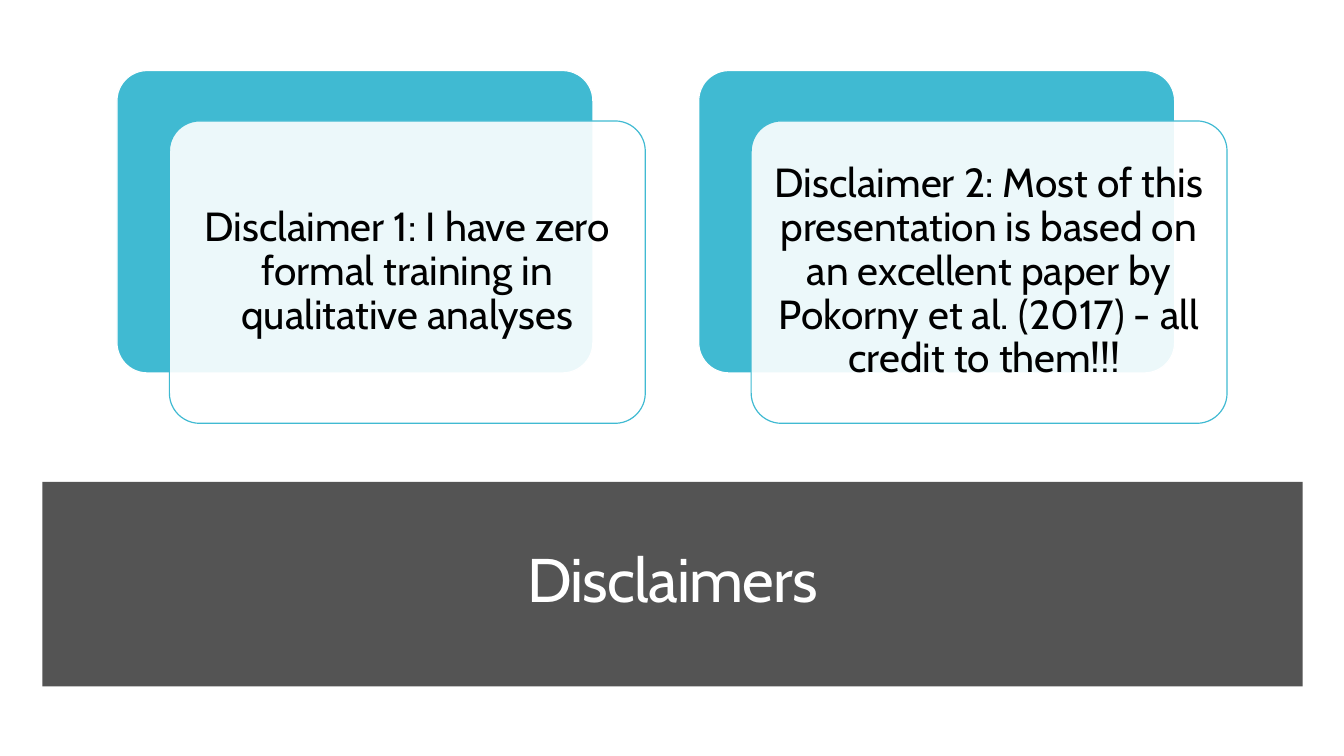
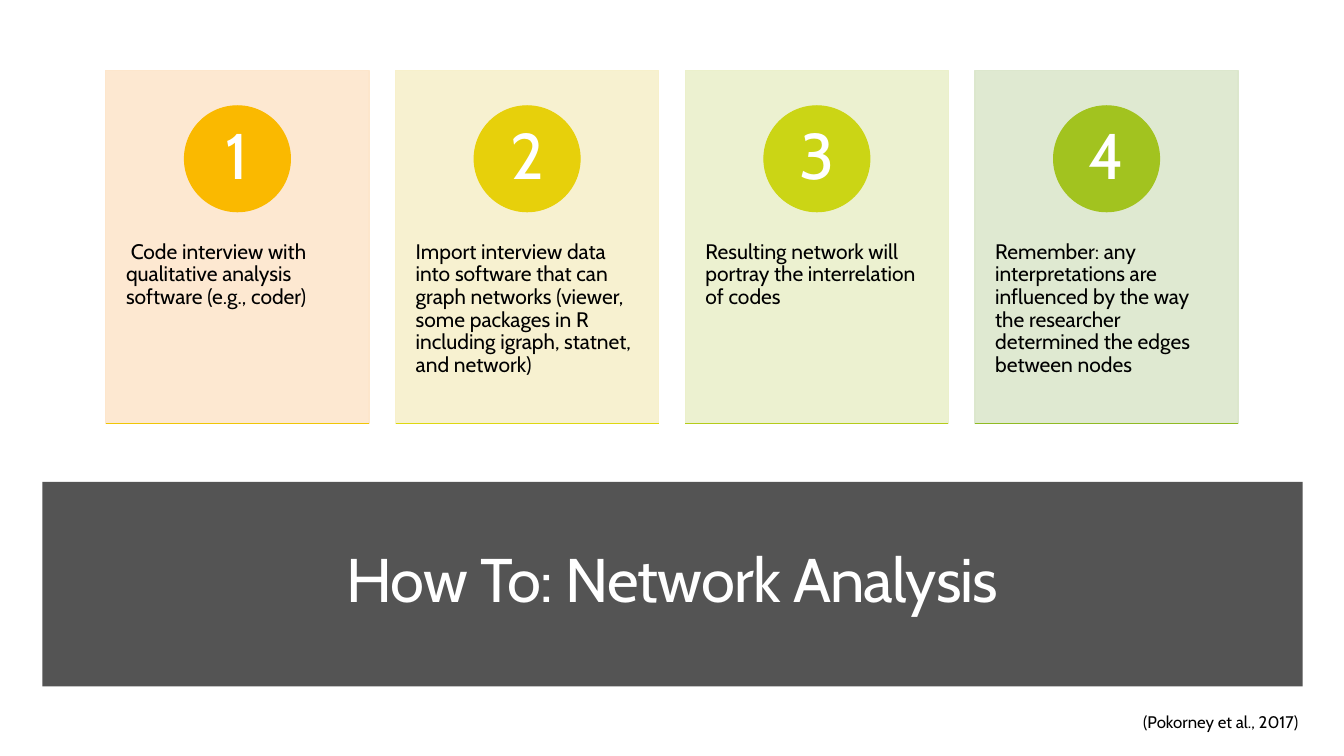
from lxml import etree
from pptx import Presentation
from pptx import util as u
from pptx.dml.color import RGBColor
from pptx.enum import shapes, text
from pptx.oxml import ns

FONT = "Cabin"
WHITE, BLACK, BAND, TEAL = "FFFFFF", "000000", "545454", "40BAD2"
LINE_WIDTH = u.Pt(0.85)
LEFT, CENTER = text.PP_ALIGN.LEFT, text.PP_ALIGN.CENTER
TOP, MIDDLE = text.MSO_ANCHOR.TOP, text.MSO_ANCHOR.MIDDLE

DISCLAIMERS = [
    "Disclaimer 1: I have zero formal training in qualitative analyses",
    "Disclaimer 2: Most of this presentation is based on an excellent paper "
    "by Pokorny et al. (2017) - all credit to them!!!\u00a0",
]

# Step text, card tint, circle colour, base line colour
STEPS = [
    (" Code interview with qualitative analysis software (e.g., coder)",
     "FDE6CC", "FAB900", "F0C606"),
    ("Import interview data into software that can graph networks (viewer, "
     "some packages in R including igraph, statnet, and network)",
     "F7F0CB", "E7D00B", "DED810"),
    ("Resulting network will portray the interrelation of codes",
     "EBF0CB", "CBD515", "B5CC1A"),
    ("Remember: any interpretations are influenced by the way the researcher "
     "determined the edges between nodes",
     "DCE7CD", "A2C31F", "90BB23"),
]


def rgb(value):
    """Return the colour for a hex string."""
    return RGBColor.from_string(value)


def box(x, y, w, h):
    """Return a position and size given in inches."""
    return [u.Inches(v) for v in (x, y, w, h)]


def write(sp, content, size, color, align=LEFT, anchor=TOP,
          insets=(0.1, 0.05, 0.1, 0.05), line_spacing=0.9, after=0.0,
          tracking=0):
    """Set and format one paragraph; after is a share of the text size."""
    tf = sp.text_frame
    tf.text = content
    tf.word_wrap = True
    tf.auto_size = text.MSO_AUTO_SIZE.NONE
    tf.vertical_anchor = anchor
    (tf.margin_left, tf.margin_top,
     tf.margin_right, tf.margin_bottom) = [u.Inches(v) for v in insets]
    p = tf.paragraphs[0]
    p.alignment = align
    p.line_spacing = line_spacing
    p.space_after = u.Pt(size * after)
    r = p.runs[0]
    r.font.name = FONT
    r.font.size = u.Pt(size)
    r.font.color.rgb = rgb(color)
    if tracking:
        r._r.get_or_add_rPr().set("spc", str(tracking))


def add_block(s, kind, place, fill, line=None, opacity=100):
    """Add a flat preset shape with optional outline and see-through fill."""
    sp = s.shapes.add_shape(kind, *box(*place))
    sp.shadow.inherit = False
    sp.fill.solid()
    sp.fill.fore_color.rgb = rgb(fill)
    if opacity < 100:
        color = sp.element.spPr.find(ns.qn("a:solidFill"))[0]
        etree.SubElement(color, ns.qn("a:alpha")).set(
            "val", str(opacity * 1000))
    if line:
        sp.line.color.rgb = rgb(line)
        sp.line.width = LINE_WIDTH
    else:
        sp.line.fill.background()
    return sp


def add_rule(s, x, y, w, color):
    """Add a thin horizontal line."""
    start, end = (x, y), (x + w, y)
    line = s.shapes.add_connector(
        shapes.MSO_CONNECTOR.STRAIGHT,
        *[u.Inches(v) for v in start + end])
    line.line.color.rgb = rgb(color)
    line.line.width = LINE_WIDTH
    etree.SubElement(line.element.spPr, ns.qn("a:effectLst"))


def add_titled_slide(prs, heading):
    """Add a slide with its title on the dark band."""
    s = prs.slides.add_slide(prs.slide_layouts[5])
    title = s.shapes.title
    title.left, title.top, title.width, title.height = box(
        0.61, 5.03, 12.12, 1.49)
    write(title, heading, 44, WHITE, CENTER, MIDDLE, tracking=-60)
    band = add_block(s, shapes.MSO_SHAPE.RECTANGLE,
                     (0.42, 4.78, 12.5, 2.03), BAND)
    title.element.addprevious(band.element)
    return s


def add_disclaimer(s, x, content):
    """Add a teal panel with an offset text panel in front."""
    y, w, h, shift = 0.7, 4.72, 3, 0.51
    rounded = shapes.MSO_SHAPE.ROUNDED_RECTANGLE
    back = add_block(s, rounded, (x, y, w, h), TEAL, WHITE)
    front = add_block(s, rounded, (x + shift + 0.01, y + shift - 0.01, w, h),
                      WHITE, TEAL, opacity=90)
    for sp in (back, front):
        sp.adjustments[0] = 0.1
    write(front, content, 29, BLACK, CENTER, MIDDLE,
          insets=(0.12, 0.12, 0.12, 0.12), after=0.35)


def add_step(s, x, number, content, tint, accent, base):
    """Add a card with a numbered circle, a text and a base line."""
    y, w, h, circle = 0.7, 2.61, 3.5, 1.05
    card = add_block(s, shapes.MSO_SHAPE.RECTANGLE, (x, y, w, h),
                     tint, tint, opacity=90)
    write(card, content, 15, BLACK, insets=(0.2, 1.69, 0.2, 0.43), after=0.35)
    badge = add_block(s, shapes.MSO_SHAPE.OVAL,
                      (x + (w - circle) / 2, y + 0.35, circle, circle),
                      accent, accent)
    write(badge, str(number), 46, WHITE, CENTER, MIDDLE,
          insets=(0.08, 0.01, 0.08, 0.01), after=0.35)
    add_rule(s, x, y + h, w, base)


def add_citation(s, content):
    """Add the small source note below the band."""
    note = s.shapes.add_textbox(*box(11.24, 7.01, 1.99, 0.3))
    write(note, content, 12, BLACK, line_spacing=1.0)


def main():
    """Build and save the presentation."""
    prs = Presentation()
    prs.slide_width, prs.slide_height = u.Inches(13.33), u.Inches(7.5)

    s = add_titled_slide(prs, "Disclaimers")
    for i, content in enumerate(DISCLAIMERS):
        add_disclaimer(s, 1.16 + i * 5.77, content)

    s = add_titled_slide(prs, "How To: Network Analysis")
    first, last = 1.05, 9.67
    pitch = (last - first) / (len(STEPS) - 1)
    for i, step in enumerate(STEPS):
        add_step(s, first + i * pitch, i + 1, *step)
    add_citation(s, "(Pokorney et al., 2017)")

    prs.save("out.pptx")


main()
